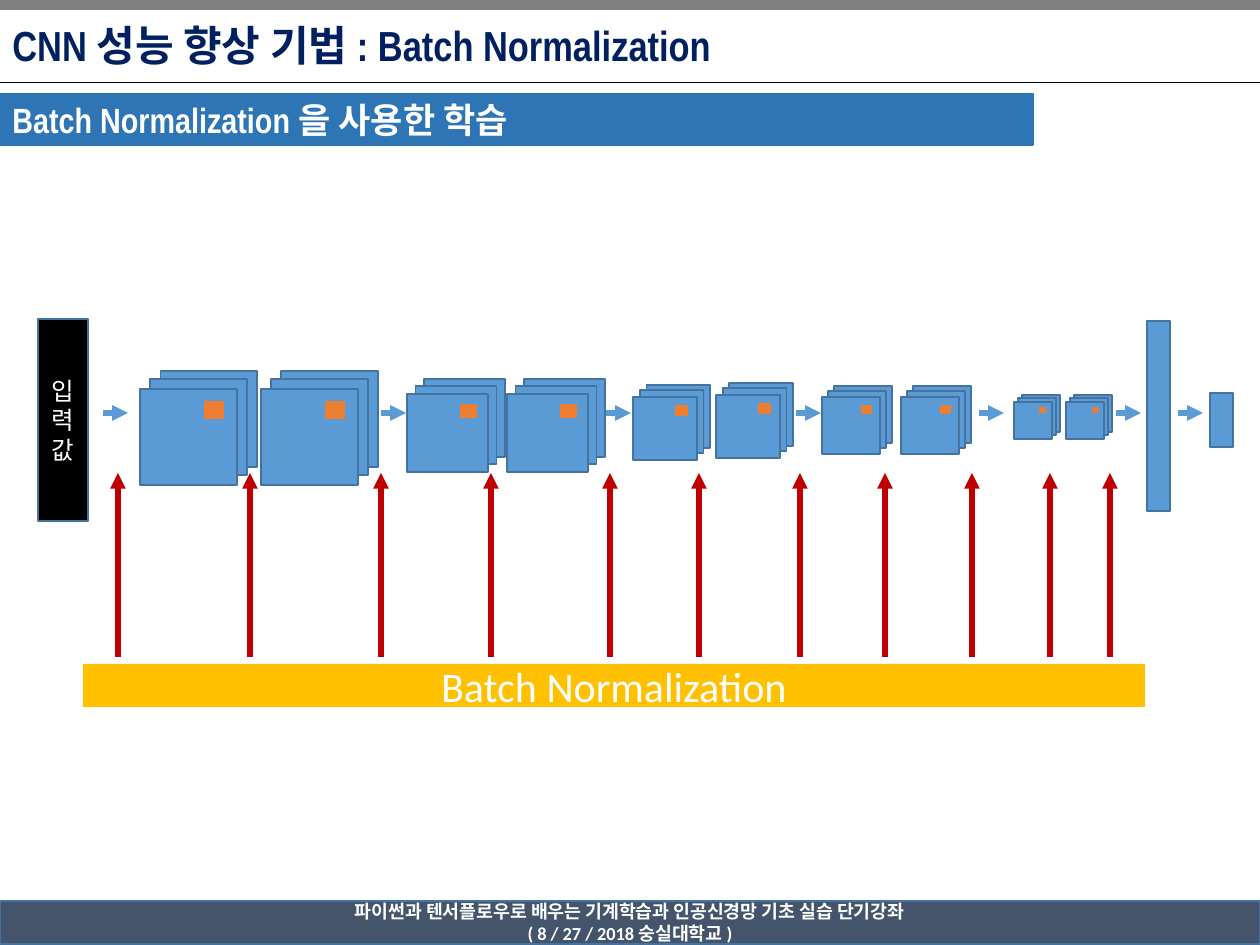
from lxml import etree
from pptx import Presentation
from pptx.dml.color import RGBColor
from pptx.enum.shapes import MSO_CONNECTOR, MSO_SHAPE
from pptx.enum.text import MSO_ANCHOR, PP_ALIGN
from pptx.oxml.ns import qn
from pptx.util import Emu, Pt

RECT, STRAIGHT = MSO_SHAPE.RECTANGLE, MSO_CONNECTOR.STRAIGHT
MIDDLE, LEFT, CENTER = MSO_ANCHOR.MIDDLE, PP_ALIGN.LEFT, PP_ALIGN.CENTER
PX = 914400 // 126
NARROW, SANS = "Arial Narrow", "Calibri"

COLORS = {
    "gray": "808080", "black": "000000", "slate": "44546A", "navy": "002060",
    "banner": "2E75B6", "white": "FFFFFF", "red": "C00000", "gold": "FFC000",
    "blue": "5B9BD5", "edge": "43739E", "orange": "ED7D31",
}

TITLE = "CNN 성능 향상 기법 : Batch Normalization"
SUBTITLE = "Batch Normalization 을 사용한 학습"
FOOTER = ["파이썬과 텐서플로우로 배우는 기계학습과 인공신경망 기초 실습 단기강좌",
          "( 8 / 27 / 2018 숭실대학교 )"]
INPUT_LABEL = "입력값"
NORM_LABEL = "Batch Normalization"

# Convolution stages: front map width, height, then (left, top) of each stack
STAGES = [
    (97, 96, [(140, 389), (261, 389)]),
    (81, 78, [(407, 394), (507, 394)]),
    (64, 63, [(633, 397), (716, 395)]),
    (58, 57, [(822, 397), (901, 397)]),
    (38, 37, [(1014, 402), (1066, 402)]),
]
LAYER_SHIFTS = [(0.21, 0.19), (0.105, 0.105), (0, 0)]  # back to front, share of map
KERNEL = (0.65, 0.12, 0.23, 0.2)  # left, top, width, height, share of map
DENSE_LAYERS = [(1147, 321, 23, 190), (1210, 393, 23, 54)]

NORM_XS = [118, 250, 381, 491, 610, 699, 800, 885, 972, 1050, 1110]
NORM_BOTTOM, NORM_TOP = 657, 473
FLOW_XS = [103, 381, 606, 796, 979, 1116, 1178]
FLOW_Y, FLOW_LENGTH = 413, 25

prs = Presentation()
prs.slide_width, prs.slide_height = Emu(1260 * PX), Emu(945 * PX)
s = prs.slides.add_slide(prs.slide_layouts[6])


def px(*values):
    return [Emu(round(v * PX)) for v in values]


def rgb(name):
    return RGBColor.from_string(COLORS[name])


def write(sp, lines, font, size, color, bold=False, align=CENTER):
    tf = sp.text_frame
    tf.word_wrap = True
    tf.vertical_anchor = MIDDLE
    for i, line in enumerate(lines):
        p = tf.add_paragraph() if i else tf.paragraphs[0]
        p.alignment = align
        r = p.add_run()
        r.text = line
        r.font.name, r.font.size, r.font.bold = font, Pt(size), bold
        r.font.color.rgb = rgb(color)


def add_rect(box, fill, line=None):
    sp = s.shapes.add_shape(RECT, *px(*box))
    sp.shadow.inherit = False
    sp.fill.solid()
    sp.fill.fore_color.rgb = rgb(fill)
    if line:
        sp.line.color.rgb = rgb(line)
        sp.line.width = Pt(1)
    else:
        sp.line.fill.background()
    return sp


def add_line(x1, y1, x2, y2, color, width, arrow=False):
    cn = s.shapes.add_connector(STRAIGHT, *px(x1, y1, x2, y2))
    cn.line.color.rgb = rgb(color)
    cn.line.width = Pt(width)
    if arrow:
        ln = cn.line._get_or_add_ln()
        etree.SubElement(ln, qn("a:tailEnd"), type="triangle")
    etree.SubElement(cn._element.spPr, qn("a:effectLst"))


def add_stack(x, y, w, h):
    """Draw three overlapping feature maps with a kernel on the front one."""
    for dx, dy in LAYER_SHIFTS:
        add_rect((x + dx * w, y - dy * h, w, h), "blue", "edge")
    kx, ky, kw, kh = KERNEL
    add_rect((x + kx * w, y + ky * h, kw * w, kh * h), "orange", "blue")


# Page frame
add_rect((0, 0, 1260, 9), "gray", "gray")
add_line(0, 82, 1260, 82, "black", 0.5)
footer = add_rect((0, 901, 1260, 43), "slate", "edge")
write(footer, FOOTER, SANS, 10.5, "white", bold=True)
title = s.shapes.add_textbox(*px(0, 4, 984, 82))
write(title, [TITLE], NARROW, 24, "navy", bold=True, align=LEFT)
banner = add_rect((0, 94, 1033, 51), "banner", "banner")
write(banner, [SUBTITLE], NARROW, 20, "white", bold=True, align=LEFT)

# Normalization feeding every layer
for x in NORM_XS:
    add_line(x, NORM_BOTTOM, x, NORM_TOP, "red", 3, arrow=True)
norm = add_rect((83, 664, 1062, 43), "gold")
write(norm, [NORM_LABEL], SANS, 24, "white")

# Network
for w, h, corners in STAGES:
    for x, y in corners:
        add_stack(x, y, w, h)
for box in DENSE_LAYERS:
    add_rect(box, "blue", "edge")
for x in FLOW_XS:
    add_line(x, FLOW_Y, x + FLOW_LENGTH, FLOW_Y, "blue", 3, arrow=True)
entry = add_rect((38, 319, 50, 202), "black", "edge")
write(entry, [INPUT_LABEL], SANS, 14, "white")

prs.save("out.pptx")
